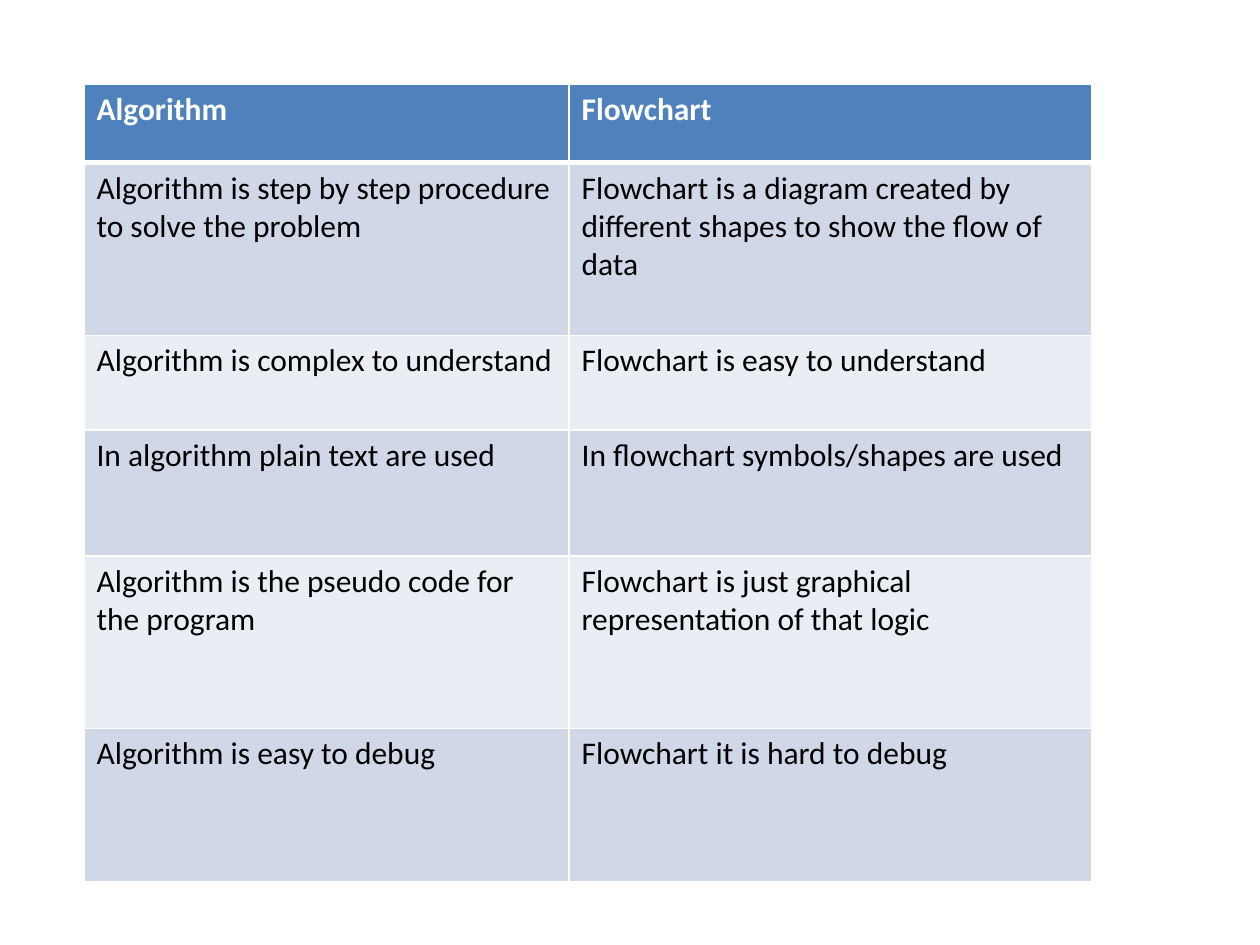
from lxml import etree
from pptx import Presentation
from pptx import util as u
from pptx.dml.color import RGBColor
from pptx.oxml import ns

HUES = {"head": "4F81BD", "dark": "D0D8E8", "light": "E9EDF4",
        "white": "FFFFFF", "black": "000000"}
ROWS = [
    ("Algorithm", "Flowchart"),
    ("Algorithm is step by step procedure to solve the problem",
     "Flowchart is a diagram created by different shapes to show the flow of data"),
    ("Algorithm is complex to understand", "Flowchart is easy to understand"),
    ("In algorithm plain text are used", "In flowchart symbols/shapes are used"),
    ("Algorithm is the pseudo code for the program",
     "Flowchart is just graphical representation of that logic"),
    ("Algorithm is easy to debug", "Flowchart it is hard to debug"),
]


class Deck:
    """Style and current slide, measured on a grid of 120 by 90 units."""

    font, size = "Calibri", 18

    def __init__(self):
        self.file = Presentation()
        self.file.slide_width, self.file.slide_height = u.Inches(10), u.Inches(7.5)
        self.unit = self.file.slide_width / 120
        self.slide = self.file.slides.add_slide(self.file.slide_layouts[6])

    def span(self, count):
        return u.Emu(round(count * self.unit))

    def edge(self, cell, side, width):
        props = cell._tc.get_or_add_tcPr()
        line = etree.SubElement(props, ns.qn("a:ln" + side), w=str(u.Pt(width)))
        fill = etree.SubElement(line, ns.qn("a:solidFill"))
        etree.SubElement(fill, ns.qn("a:srgbClr"), val=HUES["white"])

    def cell(self, cell, words, row):
        head = row == 0
        cell.text = words
        font = cell.text_frame.paragraphs[0].font
        font.name, font.size, font.bold = self.font, u.Pt(self.size), head
        font.color.rgb = RGBColor.from_string(HUES["white" if head else "black"])
        for side in "LRTB":
            thick = (row, side) in ((0, "B"), (1, "T"))
            self.edge(cell, side, 3 if thick else 1)
        cell.fill.solid()
        hue = "head" if head else "dark" if row % 2 else "light"
        cell.fill.fore_color.rgb = RGBColor.from_string(HUES[hue])

    def table(self, left, top, wides, highs, rows):
        box = map(self.span, (left, top, sum(wides), sum(highs)))
        table = self.slide.shapes.add_table(len(rows), len(wides), *box).table
        for col, wide in zip(table.columns, wides):
            col.width = self.span(wide)
        for at, (row, high) in enumerate(zip(table.rows, highs)):
            row.height = self.span(high)
            for cell, words in zip(row.cells, rows[at]):
                self.cell(cell, words, at)


deck = Deck()
deck.table(8, 8, (46.2, 49.8), (7.5, 16.45, 9, 12, 16.45, 14.6), ROWS)
deck.file.save("out.pptx")
